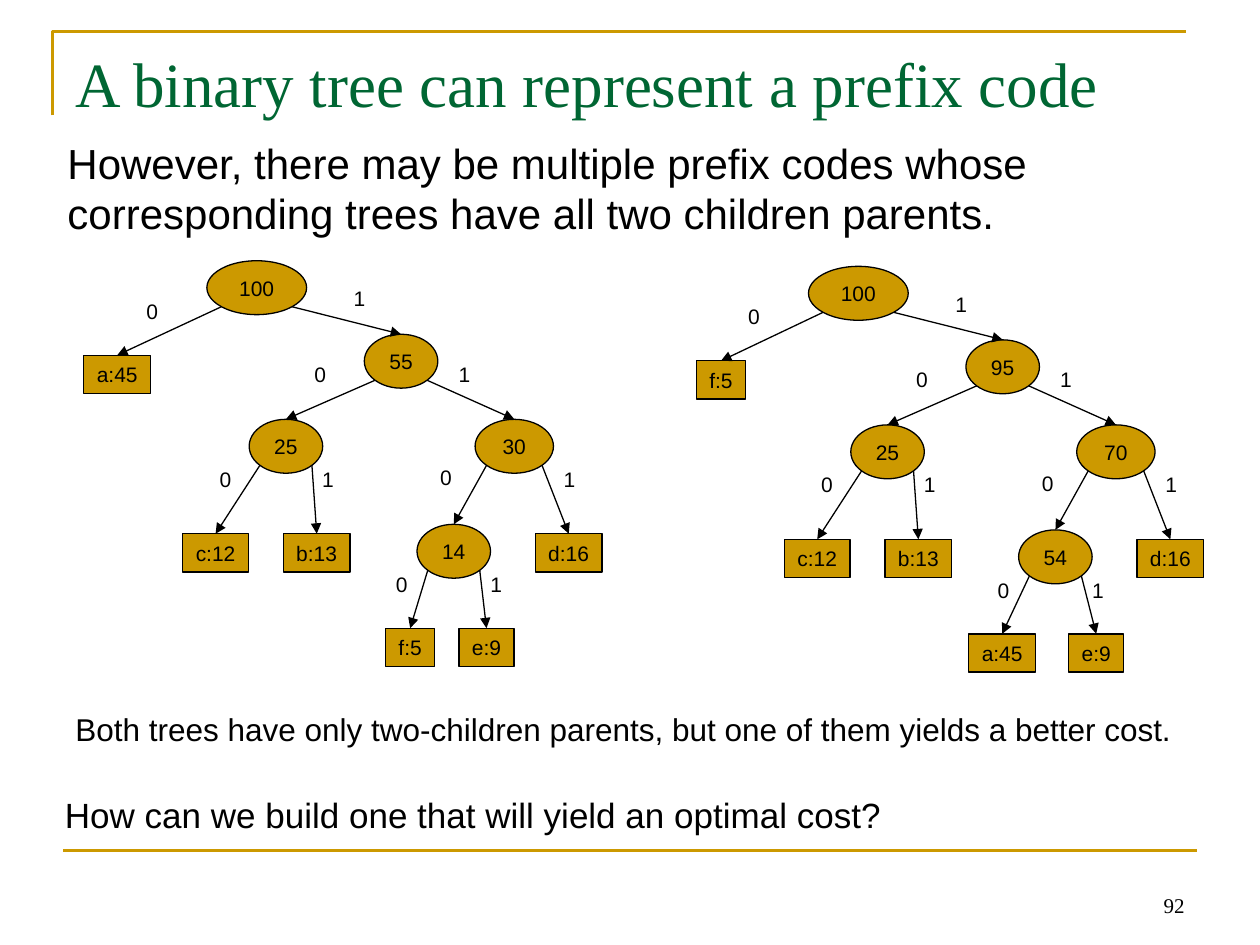
from math import sqrt

from lxml.etree import SubElement
from pptx import Presentation
from pptx.dml.color import RGBColor
from pptx.enum.shapes import MSO_CONNECTOR as Connector, MSO_SHAPE as Preset
from pptx.enum.text import MSO_ANCHOR as Anchor, PP_ALIGN as Align
from pptx.oxml.ns import qn
from pptx.util import Pt

GOLD = RGBColor(0xCC, 0x99, 0x00)
GREEN = RGBColor(0x00, 0x66, 0x33)
BLACK = RGBColor(0x00, 0x00, 0x00)

presentation = Presentation()
presentation.slide_width, presentation.slide_height = Pt(720), Pt(540)
slide = presentation.slides.add_slide(presentation.slide_layouts[6])
shapes = slide.shapes


def write(shape, text, size=12, font="Arial", color=BLACK, align=Align.CENTER, wrap=True):
    shape.text_frame.word_wrap = wrap
    paragraph = shape.text_frame.paragraphs[0]
    paragraph.text = text
    paragraph.alignment = align
    paragraph.font.size = Pt(size)
    paragraph.font.name = font
    paragraph.font.color.rgb = color
    return paragraph


def add_line(x1, y1, x2, y2, color, width):
    line = shapes.add_connector(Connector.STRAIGHT, Pt(x1), Pt(y1), Pt(x2), Pt(y2))
    line.line.color.rgb = color
    line.line.width = Pt(width)
    SubElement(line._element.spPr, qn("a:effectLst"))
    return line


builder = shapes.build_freeform(Pt(30), Pt(66))
builder.add_line_segments([(Pt(30), Pt(18)), (Pt(678), Pt(18))], close=False)
bracket = builder.convert_to_shape()
bracket.shadow.inherit = False
bracket.fill.background()
bracket.line.color.rgb = GOLD
bracket.line.width = Pt(1.5)
add_line(36, 486, 684, 486, GOLD, 1.5)

page_number = shapes.add_textbox(Pt(516), Pt(492), Pt(168), Pt(36))
page_number.text_frame.vertical_anchor = Anchor.BOTTOM
write(page_number, "92", font="Times New Roman", align=Align.RIGHT)
title = shapes.add_textbox(Pt(36), Pt(21.6), Pt(648), Pt(90))
write(title, "A binary tree can represent a prefix code", 36, "Times New Roman", GREEN, Align.LEFT)

for left, top, width, height, size, text in [
    (31.5, 75, 648, 69, 24, "However, there may be multiple prefix codes whose "
                            "corresponding trees have all two children parents."),
    (36, 402, 672, 36, 18, "Both trees have only two-children parents, "
                           "but one of them yields a better cost."),
    (30, 450, 672, 36, 20, "How can we build one that will yield an optimal cost?"),
]:
    body = shapes.add_textbox(Pt(left), Pt(top), Pt(width), Pt(height))
    write(body, text, size, align=Align.LEFT).space_before = Pt(0.2 * size)

INNER_HEIGHT, LEAF_HEIGHT, LABEL_SIZE = 30.8, 21.8, 21.6
LEAF_WIDTHS = {"a:45": 38.2, "b:13": 38.2, "c:12": 37.5, "d:16": 38.2, "e:9": 31.5, "f:5": 28}
INNER_NODES = {
    "root": (146.7, 149, 57),
    "right": (229.2, 191, 42),
    "middle": (163.4, 239.6, 42),
    "far": (293.9, 239.6, 44.8),
    "low": (259.3, 299.6, 42),
}
BRANCHES = [
    ("root", "first", "right", (76.2, 167), (194.6, 159.8)),
    ("right", "middle", "far", (172.2, 203), (254.6, 203)),
    ("middle", "c:12", "b:13", (118, 262.8), (176.6, 262.8)),
    ("far", "low", "d:16", (244.1, 262), (314.6, 262.8)),
    ("low", "left bottom", "e:9", (218.8, 323.2), (272.8, 323.2)),
]
TREES = [
    (0, 0, ("100", "55", "25", "30", "14"), ("a:45", 67), ("f:5", 234.4), 278),
    (343.8, 3.2, ("100", "95", "25", "70", "54"), ("f:5", 68.2), ("a:45", 228.9), 282.6),
]

for shift_x, shift_y, weights, first, left_bottom, right_bottom_x in TREES:
    nodes = {}
    for (name, (center, top, width)), weight in zip(INNER_NODES.items(), weights):
        node = shapes.add_shape(Preset.OVAL, Pt(center - width / 2 + shift_x), Pt(top + shift_y),
                                Pt(width), Pt(INNER_HEIGHT))
        write(node, weight)
        nodes[name] = node

    leaves = [
        ("first", *first, 203),
        ("c:12", "c:12", 123.2, 305),
        ("b:13", "b:13", 181, 305),
        ("d:16", "d:16", 325, 305),
        ("left bottom", *left_bottom, 359),
        ("e:9", "e:9", right_bottom_x, 359),
    ]
    for name, text, center, top in leaves:
        width = LEAF_WIDTHS[text]
        leaf = shapes.add_shape(Preset.RECTANGLE, Pt(center - width / 2 + shift_x),
                                Pt(top + shift_y), Pt(width), Pt(LEAF_HEIGHT))
        write(leaf, text, wrap=False)
        nodes[name] = leaf

    for node in nodes.values():
        node.shadow.inherit = False
        node.fill.solid()
        node.fill.fore_color.rgb = GOLD
        node.line.color.rgb = BLACK
        node.line.width = Pt(0.75)
        node.text_frame.vertical_anchor = Anchor.MIDDLE

    for parent, zero_child, one_child, zero_place, one_place in BRANCHES:
        center, top, width = INNER_NODES[parent]
        start_y = top + shift_y + INNER_HEIGHT / 2 * (1 + 1 / sqrt(2))
        for bit, side, child, place in [("0", -1, zero_child, zero_place),
                                        ("1", 1, one_child, one_place)]:
            start_x = center + shift_x + side * width / 2 / sqrt(2)
            arrow = add_line(start_x, start_y, start_x, start_y, BLACK, 0.75)
            arrow.end_connect(nodes[child], 0)
            SubElement(arrow.line._get_or_add_ln(), qn("a:tailEnd"), type="triangle")
            label = shapes.add_textbox(Pt(place[0] + shift_x), Pt(place[1] + shift_y),
                                       Pt(LABEL_SIZE), Pt(LABEL_SIZE))
            write(label, bit, wrap=False)

presentation.save("out.pptx")
